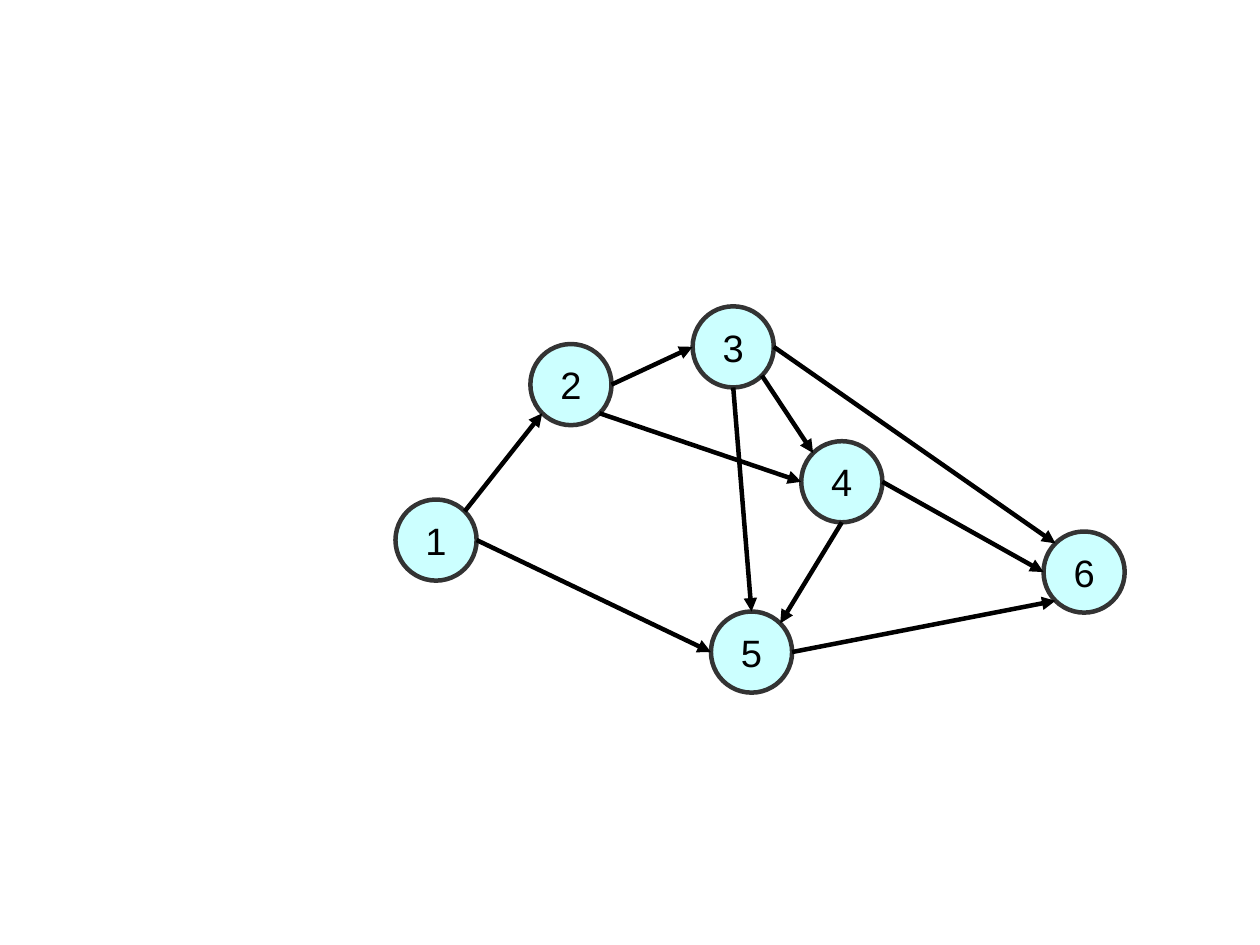
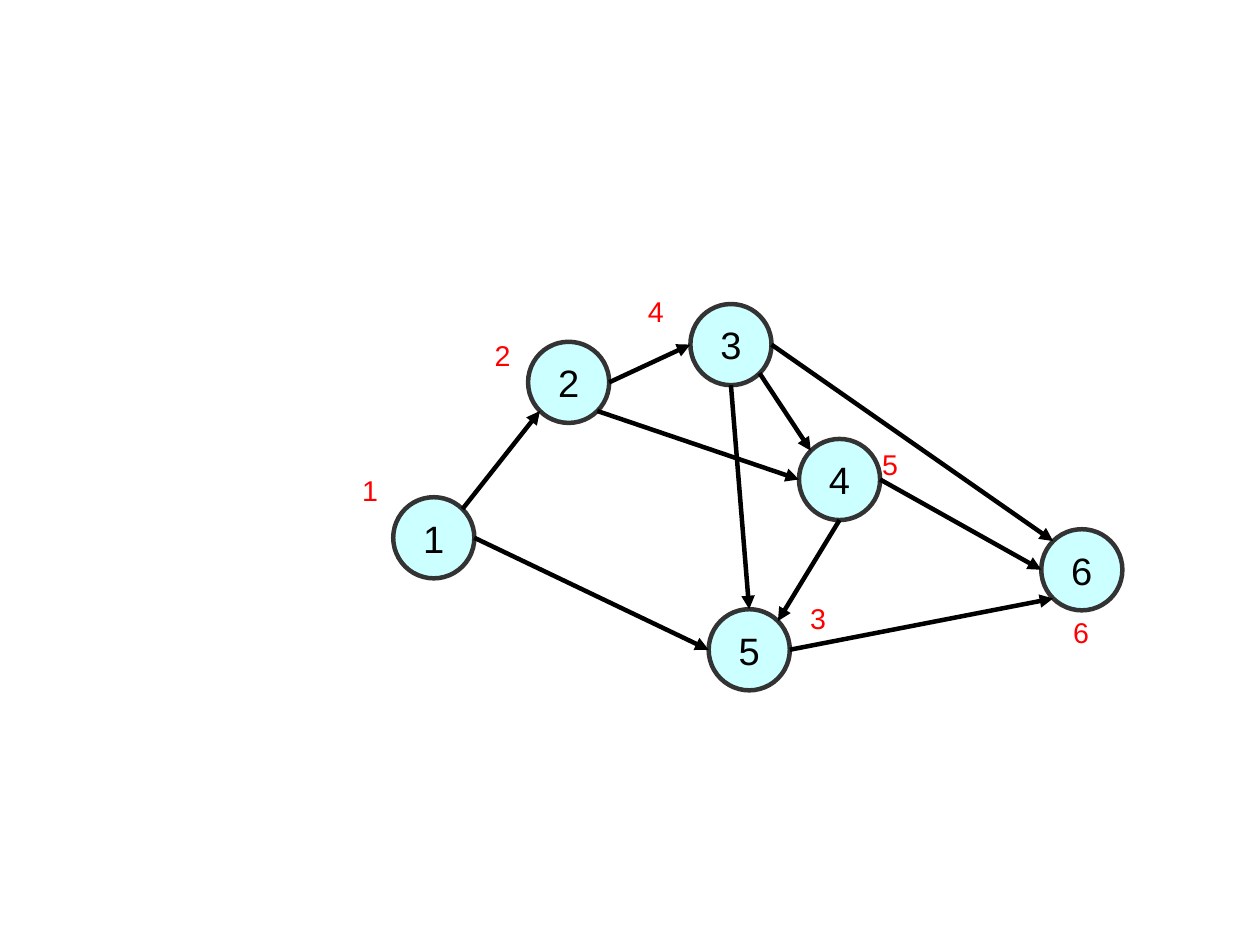
from math import cos, radians, sin

from lxml import etree
from pptx import Presentation
from pptx.dml.color import RGBColor
from pptx.enum.shapes import MSO_CONNECTOR, MSO_SHAPE
from pptx.enum.text import MSO_ANCHOR, MSO_AUTO_SIZE, PP_ALIGN
from pptx.oxml.ns import qn
from pptx.util import Inches, Pt

STRAIGHT = MSO_CONNECTOR.STRAIGHT
OVAL = MSO_SHAPE.OVAL
MIDDLE = MSO_ANCHOR.MIDDLE
CENTER, LEFT = PP_ALIGN.CENTER, PP_ALIGN.LEFT
FIT_SHAPE = MSO_AUTO_SIZE.SHAPE_TO_FIT_TEXT

BLACK = RGBColor(0x00, 0x00, 0x00)
NODE_FILL = RGBColor(0xCC, 0xFF, 0xFF)
NODE_LINE = RGBColor(0x33, 0x33, 0x33)
RED = RGBColor(0xFF, 0x00, 0x00)
FONT = "Arial"
LINE_WIDTH = Pt(2.83)
DIAMETER = 0.71

# An oval has eight connection sites, counterclockwise from the top
TOP, TOP_LEFT, LEFT_SIDE, BOTTOM_LEFT, BOTTOM, BOTTOM_RIGHT, RIGHT_SIDE, TOP_RIGHT = range(8)

# Graph: node number -> left, top
NODES = {
    1: (3.46, 4.37),
    2: (4.64, 3.01),
    3: (6.06, 2.68),
    4: (7.01, 3.86),
    5: (6.22, 5.35),
    6: (9.13, 4.65),
}
# Start node, its site, end node, its site
EDGES = [
    (1, TOP_RIGHT, 2, BOTTOM_LEFT),
    (1, RIGHT_SIDE, 5, LEFT_SIDE),
    (2, RIGHT_SIDE, 3, LEFT_SIDE),
    (2, BOTTOM_RIGHT, 4, LEFT_SIDE),
    (3, BOTTOM_RIGHT, 4, TOP_LEFT),
    (3, BOTTOM, 5, TOP),
    (3, RIGHT_SIDE, 6, TOP_LEFT),
    (4, BOTTOM, 5, TOP_RIGHT),
    (4, RIGHT_SIDE, 6, LEFT_SIDE),
    (5, RIGHT_SIDE, 6, BOTTOM_LEFT),
]
# Visiting order: text, left, top
ORDER_LABELS = [
    ("1", 3.07, 4.09),
    ("2", 4.23, 2.91),
    ("4", 5.57, 2.52),
    ("3", 6.99, 5.21),
    ("6", 9.29, 5.33),
    ("5", 7.62, 3.86),
]
# Each slide: offset of the graph, labels
SLIDES = [(0, []), (-0.02, ORDER_LABELS)]


def write_text(shape, text, size=24, color=BLACK, align=LEFT):
    frame = shape.text_frame
    frame.word_wrap = False
    paragraph = frame.paragraphs[0]
    paragraph.alignment = align
    run = paragraph.add_run()
    run.text = text
    run.font.name = FONT
    run.font.size = Pt(size)
    run.font.color.rgb = color


def site_position(node, site, offset):
    """Return the x and y of a connection site on a node's rim."""
    left, top = NODES[node]
    radius = DIAMETER / 2
    angle = radians(90 + 45 * site)
    return (Inches(left + offset + radius + radius * cos(angle)),
            Inches(top + offset + radius - radius * sin(angle)))


# The page is 28 by 21 cm
presentation = Presentation()
presentation.slide_width = Inches(28 / 2.54)
presentation.slide_height = Inches(21 / 2.54)
blank_layout = presentation.slide_layouts[6]

for offset, labels in SLIDES:
    slide = presentation.slides.add_slide(blank_layout)

    # Nodes
    circles = {}
    for number, (left, top) in NODES.items():
        circle = slide.shapes.add_shape(
            OVAL, Inches(left + offset), Inches(top + offset), Inches(DIAMETER), Inches(DIAMETER))
        circle.shadow.inherit = False
        circle.fill.solid()
        circle.fill.fore_color.rgb = NODE_FILL
        circle.line.color.rgb = NODE_LINE
        circle.line.width = LINE_WIDTH
        circle.text_frame.vertical_anchor = MIDDLE
        write_text(circle, str(number), align=CENTER)
        circles[number] = circle

    # Directed edges
    for start, start_site, end, end_site in EDGES:
        arrow = slide.shapes.add_connector(
            STRAIGHT, *site_position(start, start_site, offset),
            *site_position(end, end_site, offset))
        arrow.line.color.rgb = BLACK
        arrow.line.width = LINE_WIDTH
        etree.SubElement(arrow.line._get_or_add_ln(), qn("a:tailEnd"), type="triangle")
        etree.SubElement(arrow._element.spPr, qn("a:effectLst"))

        # begin_connect knows only four sites, so join the oval's sites in XML
        joints = arrow._element.find(".//" + qn("p:cNvCxnSpPr"))
        for tag, node, site in (("a:stCxn", start, start_site), ("a:endCxn", end, end_site)):
            etree.SubElement(joints, qn(tag), id=str(circles[node].shape_id), idx=str(site))

    # Visiting order beside the nodes
    for text, left, top in labels:
        label = slide.shapes.add_textbox(Inches(left), Inches(top), Inches(0.34), Inches(0.38))
        label.text_frame.auto_size = FIT_SHAPE
        write_text(label, text, size=18, color=RED)

presentation.save("out.pptx")
